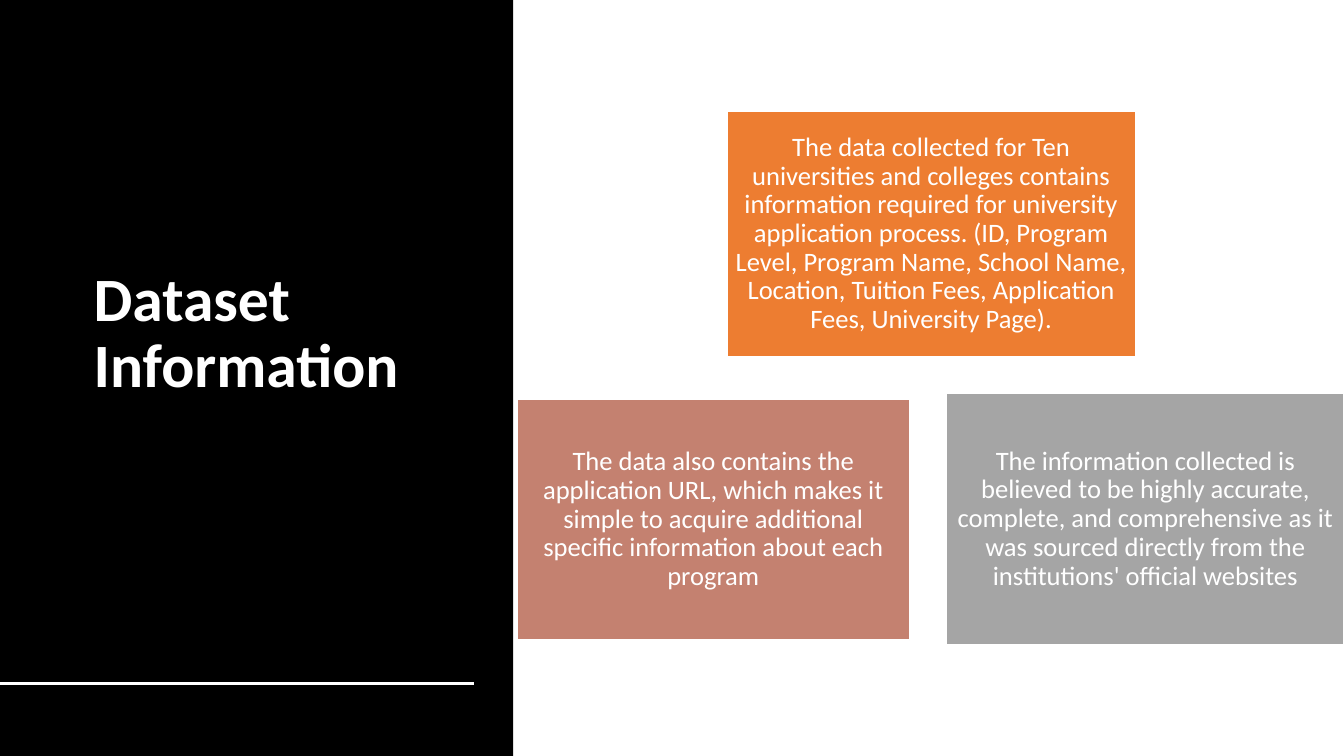
from lxml import etree
from pptx import Presentation
from pptx.dml.color import RGBColor
from pptx.enum.shapes import MSO_CONNECTOR, MSO_SHAPE
from pptx.enum.text import MSO_ANCHOR, PP_ALIGN
from pptx.oxml.ns import qn
from pptx.util import Inches, Pt

RECTANGLE = MSO_SHAPE.RECTANGLE
STRAIGHT = MSO_CONNECTOR.STRAIGHT
MIDDLE = MSO_ANCHOR.MIDDLE
LEFT, CENTER = PP_ALIGN.LEFT, PP_ALIGN.CENTER

BLACK = RGBColor(0x00, 0x00, 0x00)
WHITE = RGBColor(0xFF, 0xFF, 0xFF)
ORANGE = RGBColor(0xED, 0x7D, 0x31)
SALMON = RGBColor(0xC4, 0x81, 0x70)
GRAY = RGBColor(0xA5, 0xA5, 0xA5)

SLIDE_WIDTH, SLIDE_HEIGHT = Inches(13.33), Inches(7.5)
FONT = "Calibri"

# Left, top, width and height in percent of the slide
CARDS = [
    ((54.09, 14.67, 30.38, 32.53), ORANGE,
     "The data collected for Ten universities and colleges contains information "
     "required for university application process. (ID, Program Level, Program Name, "
     "School Name, Location, Tuition Fees, Application Fees, University Page)."),
    ((38.48, 52.8, 29.18, 31.87), SALMON,
     "The data also contains the application URL, which makes it simple to acquire "
     "additional specific information about each program"),
    ((70.44, 52, 29.56, 33.33), GRAY,
     "The information collected is believed to be highly accurate, complete, and "
     "comprehensive as it was sourced directly from the institutions' official websites"),
]


def across(percent):
    return round(SLIDE_WIDTH * percent / 100)


def down(percent):
    return round(SLIDE_HEIGHT * percent / 100)


def to_lengths(box):
    left, top, width, height = box
    return across(left), down(top), across(width), down(height)


def write_text(shape, text, *, size, bold=False, align=LEFT, margins=(0.1, 0.05)):
    """Fill the shape with one paragraph; each newline becomes a line break."""
    frame = shape.text_frame
    frame.word_wrap = True
    frame.vertical_anchor = MIDDLE
    frame.margin_left = frame.margin_right = Inches(margins[0])
    frame.margin_top = frame.margin_bottom = Inches(margins[1])
    paragraph = frame.paragraphs[0]
    paragraph.alignment = align
    paragraph.line_spacing = 0.9
    for index, line in enumerate(text.split("\n")):
        if index:
            paragraph.add_line_break()
        run = paragraph.add_run()
        run.text = line
        run.font.name = FONT
        run.font.size = Pt(size)
        run.font.bold = bold
        run.font.color.rgb = WHITE


def add_rectangle(slide, box, fill, outline=None):
    shape = slide.shapes.add_shape(RECTANGLE, *to_lengths(box))
    shape.shadow.inherit = False
    shape.fill.solid()
    shape.fill.fore_color.rgb = fill
    if outline is None:
        shape.line.fill.background()
    else:
        shape.line.color.rgb = outline
        shape.line.width = Pt(1)
    return shape


def add_title(slide, box, text):
    title = slide.shapes.add_textbox(*to_lengths(box))
    write_text(title, text, size=44, bold=True)


def add_rule(slide, right, top):
    """Draw a white line from the left edge of the slide."""
    rule = slide.shapes.add_connector(STRAIGHT, 0, down(top), across(right), down(top))
    rule.line.color.rgb = WHITE
    rule.line.width = Pt(2)
    etree.SubElement(rule._element.spPr, qn("a:effectLst"))


def add_card(slide, box, fill, text):
    card = add_rectangle(slide, box, fill, outline=WHITE)
    write_text(card, text, size=19, align=CENTER, margins=(0.08, 0.08))


def main():
    presentation = Presentation()
    presentation.slide_width, presentation.slide_height = SLIDE_WIDTH, SLIDE_HEIGHT
    slide = presentation.slides.add_slide(presentation.slide_layouts[6])
    slide.background.fill.solid()
    slide.background.fill.fore_color.rgb = WHITE

    add_rectangle(slide, (0, 0, 38.18, 100), BLACK)
    add_title(slide, (6.23, 8.13, 29.26, 72.27), "Dataset\nInformation")
    add_rule(slide, right=35.26, top=90.4)
    for box, fill, text in CARDS:
        add_card(slide, box, fill, text)

    presentation.save("out.pptx")


if __name__ == "__main__":
    main()
